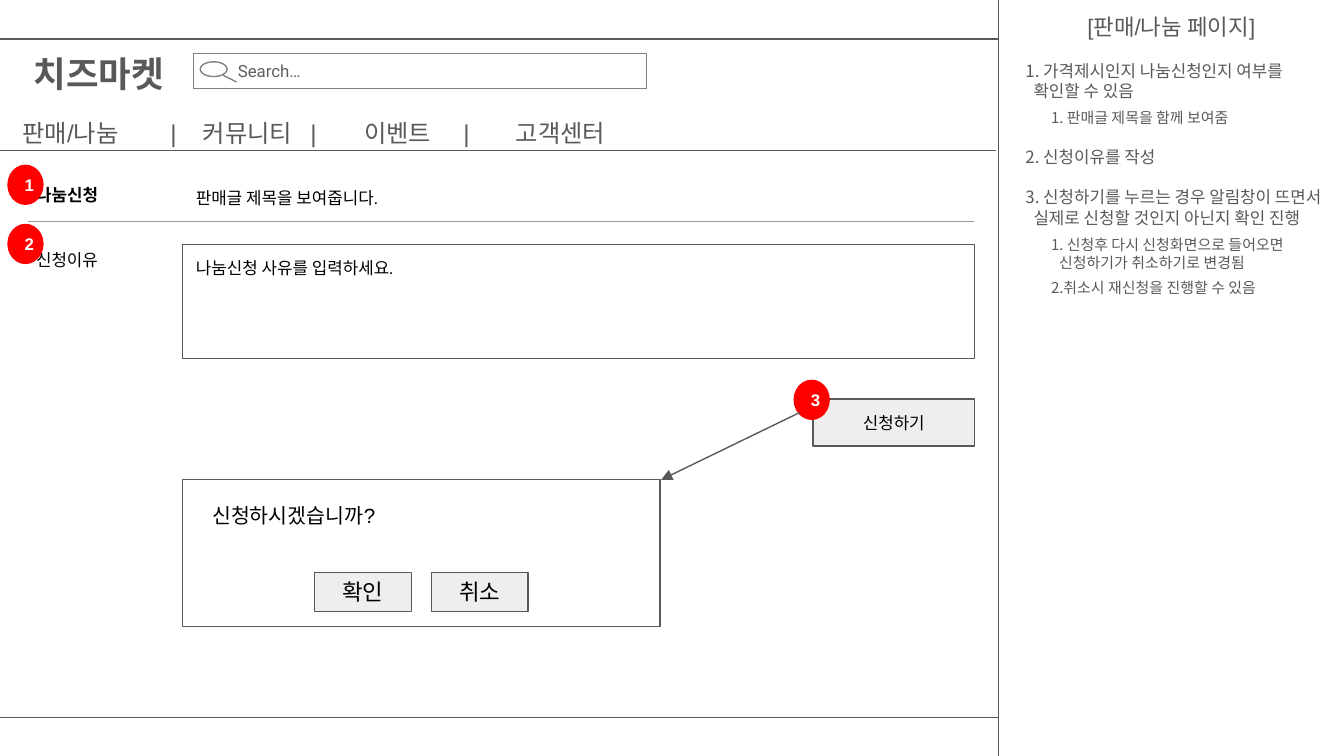
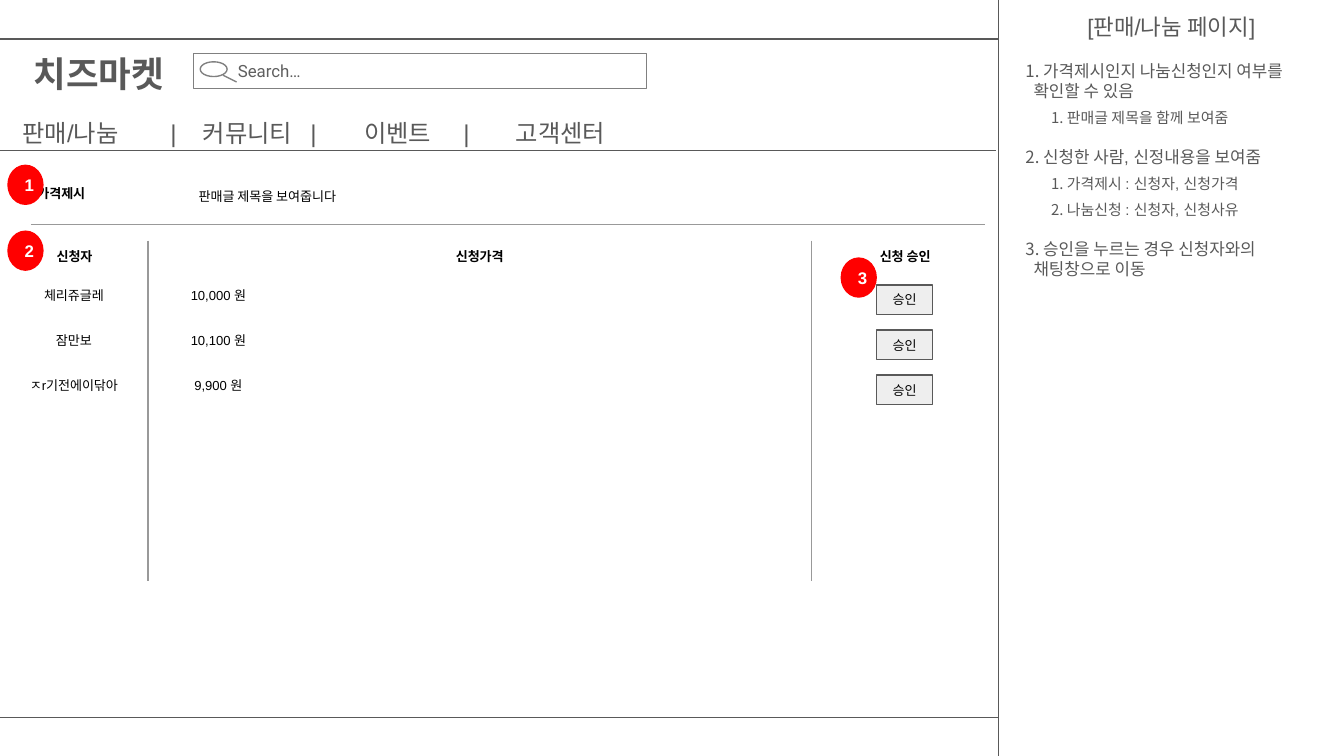
from lxml import etree
from pptx import Presentation
from pptx.dml.color import RGBColor
from pptx.enum import shapes as kinds, text as textenum
from pptx.oxml import ns
from pptx.util import Inches, Pt

DARK = RGBColor(0x59, 0x59, 0x59)
SEARCH_TEXT = RGBColor(0x5F, 0x5F, 0x5F)
SEARCH_LINE = RGBColor(0x80, 0x80, 0x80)
RULE = RGBColor(0x99, 0x99, 0x99)
BUTTON = RGBColor(0xEE, 0xEE, 0xEE)
RED = RGBColor(0xFF, 0x00, 0x00)
WHITE = RGBColor(0xFF, 0xFF, 0xFF)
BLACK = RGBColor(0x00, 0x00, 0x00)

RECT = kinds.MSO_SHAPE.RECTANGLE
OVAL = kinds.MSO_SHAPE.OVAL
TOP, MIDDLE = textenum.MSO_ANCHOR.TOP, textenum.MSO_ANCHOR.MIDDLE
LEFT, CENTER = textenum.PP_ALIGN.LEFT, textenum.PP_ALIGN.CENTER

PAGE_W = 10
PAGE_H = PAGE_W * 9 / 16
SCREEN_W = 7.43
PANEL_W = PAGE_W - SCREEN_W
TITLE_H = 0.35
NAV_STOPS = [1.1, 1.34, 2.14, 2.54, 3.28, 3.67]

# Each note is (level, text)
SHARED_NOTES = [
    (0, " 가격제시인지 나눔신청인지 여부를 확인할 수 있음"),
    (1, " 판매글 제목을 함께 보여줌"),
]
NOTES = [
    SHARED_NOTES + [
        (0, " 신청이유를 작성"),
        (0, " 신청하기를 누르는 경우 알림창이 뜨면서 실제로 신청할 것인지 아닌지 확인 진행"),
        (1, " 신청후 다시 신청화면으로 들어오면 신청하기가 취소하기로 변경됨"),
        (1, "취소시 재신청을 진행할 수 있음"),
    ],
    SHARED_NOTES + [
        (0, " 신청한 사람, 신정내용을 보여줌"),
        (1, " 가격제시 : 신청자, 신청가격"),
        (1, " 나눔신청 : 신청자, 신청사유"),
        (0, " 승인을 누르는 경우 신청자와의 채팅창으로 이동"),
    ],
]
NOTE_SIZE = [9, 8]
NOTE_GAP = [10.8, 4.2]
NOTE_INDENT = [0.16, 0.35]


def add_box(shapes, at, text="", size=9, kind=None, fill=None, line=DARK,
            color=BLACK, bold=False, align=LEFT, anchor=TOP, font="Arial",
            margins=(0.1, 0.1)):
    """Add a preset shape, or a plain text box when kind is None.

    margins holds the left inset and the top and bottom inset.
    """
    place = [Inches(v) for v in at]
    if kind is None:
        box = shapes.add_textbox(*place)
    else:
        box = shapes.add_shape(kind, *place)
        box.shadow.inherit = False
        box.line.color.rgb = line
        box.line.width = Pt(0.75)
        if fill is None:
            box.fill.background()
        else:
            box.fill.solid()
            box.fill.fore_color.rgb = fill
    if text:
        frame = box.text_frame
        frame.text = text
        frame.word_wrap = True
        frame.vertical_anchor = anchor
        frame.margin_left, frame.margin_right = Inches(margins[0]), Inches(0.1)
        frame.margin_top = frame.margin_bottom = Inches(margins[1])
        paragraph = frame.paragraphs[0]
        paragraph.alignment = align
        run_font = paragraph.runs[0].font
        run_font.name, run_font.size, run_font.bold = font, Pt(size), bold
        run_font.color.rgb = color
    return box


def add_line(shapes, x1, y1, x2, y2, color=DARK):
    line = shapes.add_connector(kinds.MSO_CONNECTOR.STRAIGHT,
                                Inches(x1), Inches(y1), Inches(x2), Inches(y2))
    line.line.color.rgb = color
    line.line.width = Pt(0.75)
    etree.SubElement(line._element.spPr, ns.qn("a:effectLst"))
    return line


prs = Presentation()
prs.slide_width, prs.slide_height = Inches(PAGE_W), Inches(PAGE_H)

# Shared page: screen frame, site header and notes panel
for notes in NOTES:
    slide = prs.slides.add_slide(prs.slide_layouts[1])
    shapes = slide.shapes
    title, body = shapes.title, slide.placeholders[1]

    for holder, top, height in [(title, 0, TITLE_H),
                                (body, TITLE_H, PAGE_H - TITLE_H)]:
        holder.left, holder.top = Inches(SCREEN_W), Inches(top)
        holder.width, holder.height = Inches(PANEL_W), Inches(height)
        frame = holder.text_frame
        frame.auto_size = textenum.MSO_AUTO_SIZE.NONE
        frame.word_wrap = True
        frame.vertical_anchor = TOP
        frame.margin_left = frame.margin_right = Inches(0.1)
        frame.margin_top = frame.margin_bottom = Inches(0.1)

    title.text_frame.text = "[판매/나눔 페이지]"
    title.text_frame.paragraphs[0].alignment = CENTER
    title_font = title.text_frame.paragraphs[0].runs[0].font
    title_font.name, title_font.size = "Arial", Pt(12)
    title_font.color.rgb = DARK

    body.text_frame.text = "\n".join(text for level, text in notes)
    for i, (paragraph, (level, text)) in enumerate(
            zip(body.text_frame.paragraphs, notes)):
        paragraph.level = level
        paragraph.alignment = LEFT
        paragraph.space_before = Pt(NOTE_GAP[level] if i else 0)
        props = paragraph._p.get_or_add_pPr()
        props.set("marL", str(Inches(NOTE_INDENT[level])))
        props.set("indent", str(Inches(-0.06)))
        bullet_color = etree.SubElement(props, ns.qn("a:buClr"))
        etree.SubElement(bullet_color, ns.qn("a:srgbClr"), val=str(DARK))
        etree.SubElement(props, ns.qn("a:buAutoNum"), type="arabicPeriod")
        note_font = paragraph.runs[0].font
        note_font.name, note_font.size = "Arial", Pt(NOTE_SIZE[level])
        note_font.color.rgb = DARK

    add_box(shapes, (-0.01, 0.29, SCREEN_W + 0.01, 5.05), kind=RECT)
    add_line(shapes, 0, 1.12, 7.41, 1.12)
    add_line(shapes, SCREEN_W, -0.01, SCREEN_W, 5.63)

    header = shapes.add_group_shape().shapes
    nav = add_box(header, (0.07, 0.78, 5.11, 0.3),
                  "판매/나눔\t|\t커뮤니티\t|\t이벤트\t|\t고객센터", 13, color=DARK)
    nav_props = nav.text_frame.paragraphs[0]._p.get_or_add_pPr()
    tabs = etree.SubElement(nav_props, ns.qn("a:tabLst"))
    for stop in NAV_STOPS:
        etree.SubElement(tabs, ns.qn("a:tab"), pos=str(Inches(stop)), algn="l")
    add_box(header, (0, 0.29, 1.47, 0.52), "치즈마켓", 19, color=DARK,
            bold=True, align=CENTER)
    add_box(header, (1.44, 0.4, 3.37, 0.26), "Search…", 9, RECT, WHITE,
            SEARCH_LINE, SEARCH_TEXT, anchor=MIDDLE, font="Roboto",
            margins=(0.33, 0.06))
    add_box(header, (1.49, 0.46, 0.2, 0.11), kind=OVAL, fill=WHITE,
            line=SEARCH_LINE)
    add_line(header, 1.66, 0.56, 1.76, 0.61, SEARCH_LINE)

request, approval = [slide.shapes for slide in prs.slides]

# Slide 1: request form with its confirmation dialog
add_box(request, (0.17, 1.3, 1.01, 0.35), "나눔신청", bold=True)
add_box(request, (1.36, 1.32, 3.09, 0.35), "판매글 제목을 보여줍니다.")
add_line(request, 0.21, 1.65, 7.25, 1.65, RULE)
add_box(request, (0.17, 1.78, 1.44, 0.35), "신청이유")
add_box(request, (1.36, 1.82, 5.89, 0.85), "나눔신청 사유를 입력하세요.",
        kind=RECT, fill=WHITE)
add_box(request, (1.36, 3.57, 3.55, 1.09), kind=RECT, fill=WHITE)
add_box(request, (1.48, 3.65, 2.68, 0.39), "신청하시겠습니까?", 11)
for label, size, at in [("신청하기", 9, (6.05, 2.97, 1.2, 0.35)),
                        ("확인", 12, (2.34, 4.26, 0.72, 0.29)),
                        ("취소", 12, (3.21, 4.26, 0.72, 0.29))]:
    add_box(request, at, label, size, RECT, BUTTON, align=CENTER, anchor=MIDDLE)

# Slide 2: list of applicants to approve
add_box(approval, (0.18, 1.32, 1.02, 0.32), "가격제시", 7, bold=True)
add_box(approval, (1.38, 1.34, 3.12, 0.32), "판매글 제목을 보여줍니다", 7)
add_line(approval, 0.23, 1.67, 7.33, 1.67, RULE)
for x in (1.1, 6.04):
    add_line(approval, x, 1.79, x, 4.32, RULE)
for heading, left, width in [("신청자", 0.19, 0.73), ("신청가격", 2.84, 1.46),
                             ("신청 승인", 6.37, 0.73)]:
    add_box(approval, (left, 1.79, width, 0.32), heading, 7, bold=True,
            align=CENTER)
for row, (applicant, price) in enumerate([("체리쥬글레", "10,000 원"),
                                          ("잠만보", "10,100 원"),
                                          ("ㅈr기전에이닦아", "9,900 원")]):
    top = 2.08 + row * 0.67 / 2
    add_box(approval, (0, top, 1.1, 0.32), applicant, 7, align=CENTER)
    add_box(approval, (1.22, top, 0.81, 0.32), price, 7, align=CENTER)
    add_box(approval, (6.52, top + 0.04, 0.42, 0.22), "승인", 7, RECT, BUTTON,
            align=CENTER, anchor=MIDDLE)

# Numbered markers that refer to the notes
for shapes, places in [(request, [(0.06, 1.23), (0.06, 1.67), (5.91, 2.83)]),
                       (approval, [(0.06, 1.23), (0.06, 1.72), (6.26, 1.92)])]:
    for number, (left, top) in enumerate(places, 1):
        add_box(shapes, (left, top, 0.26, 0.29), str(number), 9, OVAL, RED, RED,
                WHITE, bold=True, align=CENTER, anchor=MIDDLE)

dialog_arrow = add_line(request, 5.95, 3.07, 4.92, 3.57)
etree.SubElement(dialog_arrow.line._get_or_add_ln(), ns.qn("a:tailEnd"),
                 type="triangle")

prs.save("out.pptx")
